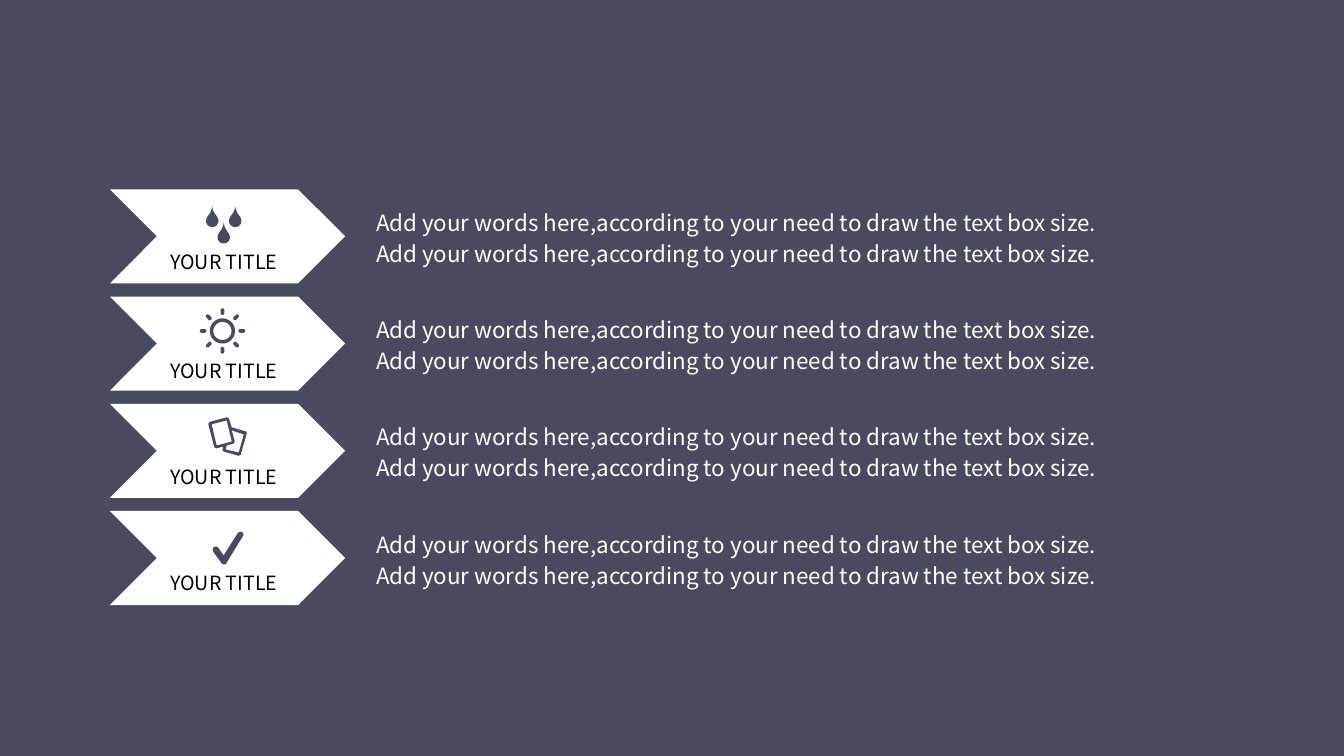
from math import cos, radians, sin

from pptx import Presentation
from pptx.dml.color import RGBColor
from pptx.enum.shapes import MSO_SHAPE as Shape
from pptx.enum.text import MSO_ANCHOR as Anchor, MSO_AUTO_SIZE as AutoSize
from pptx.util import Pt

COLORS = {"slate": "484A5F", "white": "FFFFFF", "black": "000000"}
FONT = "Noto Sans CJK SC"
BODY = "Add your words here,according to your need to draw the text box size."
TITLE = "YOUR TITLE"
ROW_TOP, ROW_PITCH = 135.2, 76.6
ARROW_LEFT, ARROW_WIDTH, ARROW_HEIGHT = 78.5, 168, 67.2

DROP_HALF = [
    (0, 0),
    ((-0.7, 5.8), (-4.4, 6.9), (-4.4, 10.3)),
    ((-4.4, 13), (-2.4, 14.8), (0, 14.8)),
]
CHECK = [
    (7.9, 23.8),
    ((7.2, 23.8), (6.5, 23), (6.5, 23)),
    (0.7, 15.1),
    ((0, 13.7), (0, 12.2), (0.7, 11.5)),
    ((2.2, 10.8), (3.6, 10.8), (4.3, 12.2)),
    (7.9, 17.3),
    (18, 1.4),
    ((18.7, 0.7), (20.2, 0), (20.9, 0.7)),
    ((22.3, 1.4), (22.3, 2.9), (21.6, 3.6)),
    (10.1, 22.3),
    ((10.1, 23), (9.4, 23.8), (8.6, 23.8)),
]
CARDS = [
    [(27.7, 10.2), (17.3, 7.2), (15.1, 0.7), (13.9, 0), (1.2, 3.4), (0.5, 4.8),
     (4.8, 21.4), (6.2, 22.2), (11.3, 20.9), (10.6, 23.2), (11.5, 24.5),
     (22.3, 27.5), (23.7, 26.7), (28, 11.5)],
    [(2.9, 5), (13.7, 2.2), (17.3, 17.3), (6.5, 20.2)],
    [(22.3, 25.2), (13, 23), (13.7, 20.2), (18.7, 18.7), (19.4, 17.3),
     (17.3, 9.4), (25.9, 12.2)],
]


def flatten(segments, steps=8):
    points = []
    for segment in segments:
        if len(segment) == 2:
            points.append(segment)
            continue
        controls = (points[-1], *segment)
        for step in range(1, steps + 1):
            t = step / steps
            weights = ((1 - t) ** 3, 3 * t * (1 - t) ** 2, 3 * t * t * (1 - t), t ** 3)
            points.append(tuple(
                sum(weight * point[axis] for weight, point in zip(weights, controls))
                for axis in (0, 1)))
    return points


def polar(radius, angle):
    return radius * cos(radians(angle)), radius * sin(radians(angle))


def circle(radius):
    return [polar(radius, angle) for angle in range(0, 360, 10)]


def ray(angle, near=12.7, far=14.9, radius=1.3):
    points = []
    for distance, start in ((far, -90), (near, 90)):
        center_x, center_y = polar(distance, angle)
        for turn in range(start, start + 181, 30):
            x, y = polar(radius, angle + turn)
            points.append((center_x + x, center_y + y))
    return points


class SlideBuilder:
    def __init__(self, slide):
        self.slide = slide
        slide.background.fill.solid()
        slide.background.fill.fore_color.rgb = self.color("slate")

    def color(self, name):
        return RGBColor.from_string(COLORS[name])

    def paint(self, shape, color):
        shape.shadow.inherit = False
        shape.fill.solid()
        shape.fill.fore_color.rgb = self.color(color)
        shape.line.fill.background()

    def arrow(self, top):
        shape = self.slide.shapes.add_shape(
            Shape.CHEVRON, Pt(ARROW_LEFT), Pt(top), Pt(ARROW_WIDTH), Pt(ARROW_HEIGHT))
        shape.adjustments[0] = 0.5
        self.paint(shape, "white")

    def outline(self, left, top, contours):
        placed = [[(Pt(left + x), Pt(top + y)) for x, y in contour] for contour in contours]
        builder = self.slide.shapes.build_freeform(*placed[0][0])
        builder.add_line_segments(placed[0][1:])
        for contour in placed[1:]:
            builder.move_to(*contour[0])
            builder.add_line_segments(contour[1:])
        self.paint(builder.convert_to_shape(), "slate")

    def text(self, left, top, width, height, lines, size, color, pitch, insets):
        box = self.slide.shapes.add_textbox(Pt(left), Pt(top), Pt(width), Pt(height))
        frame = box.text_frame
        frame.word_wrap = True
        frame.auto_size = AutoSize.NONE
        frame.vertical_anchor = Anchor.TOP
        frame.margin_left = frame.margin_right = Pt(insets[0])
        frame.margin_top = frame.margin_bottom = Pt(insets[1])
        for index, line in enumerate(lines):
            paragraph = frame.add_paragraph() if index else frame.paragraphs[0]
            paragraph.line_spacing = Pt(pitch)
            run = paragraph.add_run()
            run.text = line
            run.font.name = FONT
            run.font.size = Pt(size)
            run.font.color.rgb = self.color(color)
            run._r.get_or_add_rPr().set("kern", "0")

    def drops(self, top):
        half = flatten(DROP_HALF)
        drop = half + [(-x, y) for x, y in half[-2:0:-1]]
        centers = ((0, 0), (16.4, 0), (8.2, 11.7))
        self.outline(151.6, top + 12.2, [
            [(center_x + x, center_y + y) for x, y in drop] for center_x, center_y in centers])

    def sun(self, top):
        rays = [ray(angle) for angle in range(0, 360, 45)]
        self.outline(158.9, top + 24.6, [circle(9), circle(6.5), *rays])

    def cards(self, top):
        self.outline(148.3, top + 9.7, CARDS)

    def check(self, top):
        self.outline(151.9, top + 14.4, [flatten(CHECK)])

    def row(self, top, icon, title_offset):
        self.text(259.2, top + 9.2, 640.8, 46, [BODY, BODY], 16, "white", 22.1, (9.4, 2))
        self.arrow(top)
        icon(top)
        self.text(114.5, top + title_offset, 99.4, 24.5, [TITLE], 14, "black", 17.5, (7.2, 3.6))


def main():
    presentation = Presentation()
    presentation.slide_width, presentation.slide_height = Pt(960), Pt(540)
    builder = SlideBuilder(presentation.slides.add_slide(presentation.slide_layouts[6]))
    rows = ((builder.drops, 39.1), (builder.sun, 40.3), (builder.cards, 39.6), (builder.check, 38.6))
    for index, (icon, title_offset) in enumerate(rows):
        builder.row(ROW_TOP + index * ROW_PITCH, icon, title_offset)
    presentation.save("out.pptx")


if __name__ == "__main__":
    main()
